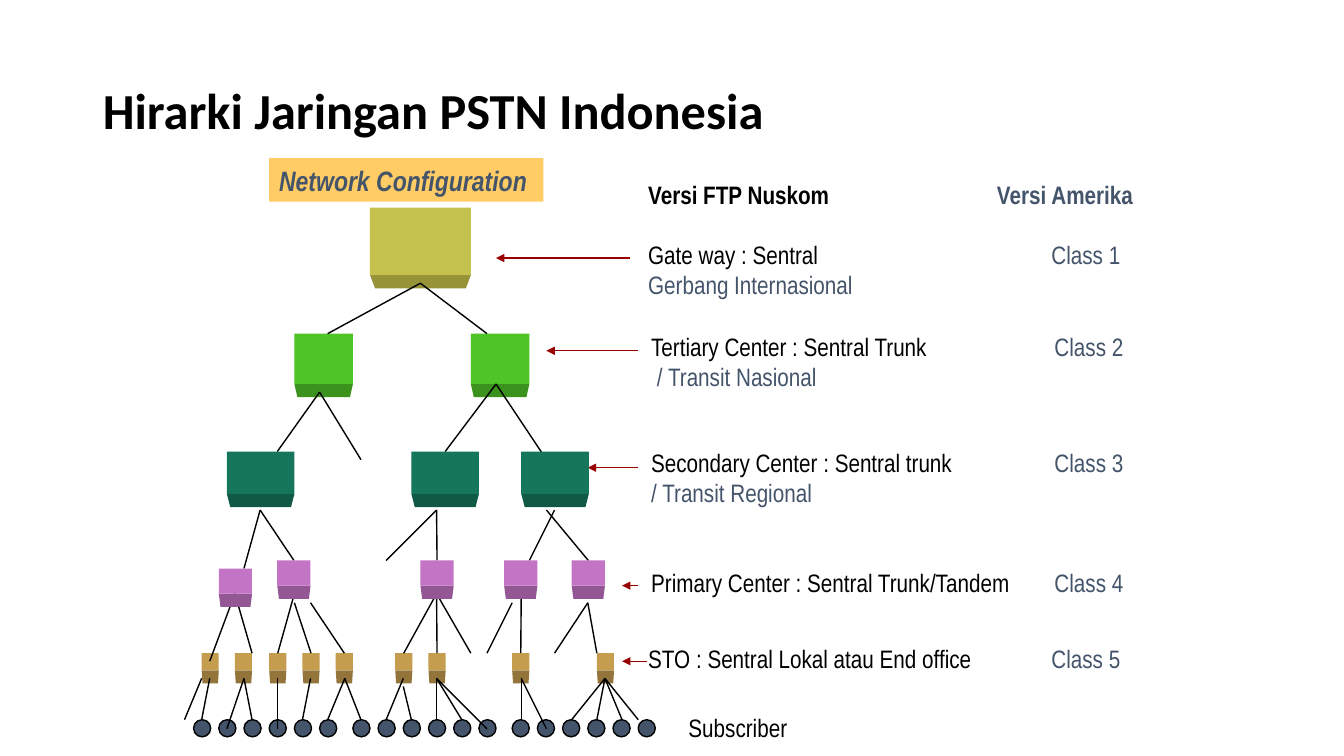
from lxml import etree
from pptx import Presentation
from pptx.dml.color import RGBColor
from pptx.enum import shapes as kinds, text as styles
from pptx.oxml import ns
from pptx.util import Inches, Pt

BLACK, SLATE, RED = "000000", "44546A", "990000"
DEPTH = 0.13  # height of the darker lower edge of a box


def paint(target, colour):
    """Give a fill, or the font of a run, one solid colour."""
    if hasattr(target, "solid"):
        target.solid()
        target.fore_color.rgb = RGBColor.from_string(colour)
    else:
        target.color.rgb = RGBColor.from_string(colour)


def add_run(paragraph, words, size, colour, bold=False, font="Arial Narrow"):
    run = paragraph.add_run()
    run.text = words
    run.font.name, run.font.size, run.font.bold = font, Pt(size), bold
    paint(run.font, colour)
    return run


presentation = Presentation()
presentation.slide_width, presentation.slide_height = Inches(13.33), Inches(7.5)
slide = presentation.slides.add_slide(presentation.slide_layouts[5])

title = slide.shapes.title
title.left, title.top, title.width, title.height = map(Inches, (0.92, 0.4, 11.5, 1.45))
title.text_frame.auto_size = styles.MSO_AUTO_SIZE.NONE
title.text_frame.vertical_anchor = styles.MSO_ANCHOR.MIDDLE
paragraph = title.text_frame.paragraphs[0]
paragraph.alignment = styles.PP_ALIGN.LEFT
paragraph.line_spacing = 0.9
add_run(paragraph, "Hirarki Jaringan PSTN Indonesia", 36, BLACK, True, "Calibri")

# Subscribers: three rows of six
for row_left in (1.92, 3.5, 5.08):
    for index in range(6):
        subscriber = slide.shapes.add_shape(
            kinds.MSO_SHAPE.OVAL, Inches(row_left + 0.25 * index), Inches(7.14),
            Inches(0.17), Inches(0.17))
        subscriber.shadow.inherit = False
        paint(subscriber.fill, SLATE)
        paint(subscriber.line.fill, BLACK)
        subscriber.line.width = Pt(1)

# Links: start point, then the end points that fan out from it
fans = [
    (4.17, 2.81, [(4.83, 3.31), (3.25, 3.31)]),
    (4.92, 3.81, [(4.42, 4.48), (5.42, 4.56)]),
    (3.17, 3.89, [(2.75, 4.48), (3.58, 4.56)]),
    (2.58, 5.06, [(2.42, 5.64), (2.92, 5.56)]),
    (4.33, 5.06, [(4.33, 5.56), (3.83, 5.56)]),
    (5.5, 5.06, [(5.25, 5.56)]),
    (5.42, 5.06, [(5.83, 5.56)]),
    (2.33, 5.89, [(2.08, 6.56), (2.5, 6.48)]),
    (2.92, 5.89, [(2.75, 6.48)]),
    (2.92, 5.98, [(3.08, 6.48)]),
    (3.08, 5.98, [(3.42, 6.48)]),
    (4.33, 5.89, [(4, 6.48), (4.33, 6.48), (4.67, 6.48)]),
    (5.17, 5.89, [(5.17, 6.48)]),
    (5.83, 5.98, [(5.92, 6.48), (5.5, 6.48)]),
    (5.08, 5.98, [(4.83, 6.48)]),
    (2, 6.73, [(1.83, 7.14)]),
    (2.08, 6.73, [(2, 7.14)]),
    (2.42, 6.73, [(2.25, 7.23), (2.5, 7.14)]),
    (2.75, 6.73, [(2.75, 7.23)]),
    (3.08, 6.73, [(3, 7.14)]),
    (3.42, 6.73, [(3.25, 7.14), (3.58, 7.14)]),
    (4, 6.73, [(3.83, 7.14)]),
    (4, 6.81, [(4.08, 7.14)]),
    (4.33, 6.73, [(4.83, 7.23), (4.33, 7.14), (4.58, 7.14)]),
    (5.17, 6.73, [(5.17, 7.14), (5.42, 7.23)]),
    (6, 6.73, [(5.67, 7.14), (5.92, 7.14), (6.17, 7.14), (6.33, 7.14)]),
]
arrows = [(6.25, 4.92, 2.56), (6.33, 5.42, 3.48), (6.33, 5.83, 4.64),
          (6.33, 6.17, 5.81), (6.42, 6.17, 6.56)]
lines = [(x, y, *end, BLACK) for x, y, ends in fans for end in ends]
lines += [(start, y, end, y, RED) for start, end, y in arrows]

# Exchange levels: face colour, edge colour, width, height, box corners
gateway = ("C4C14E", "969339", 1, 0.67, [(3.67, 2.06)])
tertiary = ("4EC427", "3B931D", 0.58, 0.5, [(2.92, 3.31), (4.67, 3.31)])
secondary = ("15765C", "105945", 0.67, 0.42, [(2.25, 4.48), (4.08, 4.48), (5.17, 4.48)])
primary = ("C474C4", "935793", 0.33, 0.25,
           [(2.17, 5.64), (2.75, 5.56), (4.17, 5.56), (5, 5.56), (5.67, 5.56)])
local = ("C49D4E", "93753B", 0.17, 0.17,
         [(x, 6.48) for x in (2, 2.33, 2.67, 3, 3.33, 3.92, 4.25, 5.08, 5.92)])

# Links lie over the first three levels and under the last two
boxes, connectors = [], []
for level in (gateway, tertiary, local, None, secondary, primary):
    if level is None:
        for x1, y1, x2, y2, colour in lines:
            connector = slide.shapes.add_connector(
                kinds.MSO_CONNECTOR.STRAIGHT, *map(Inches, (x1, y1, x2, y2)))
            paint(connector.line.fill, colour)
            connector.line.width = Pt(1)
            if colour == RED:
                etree.SubElement(connector.line._get_or_add_ln(),
                                 ns.qn("a:tailEnd"), type="triangle")
            etree.SubElement(connector._element.spPr, ns.qn("a:effectLst"))
            connectors.append(connector)
        continue
    face_colour, edge_colour, width, height, corners = level
    for left, top in corners:
        edge = slide.shapes.add_shape(
            kinds.MSO_SHAPE.TRAPEZOID, Inches(left), Inches(top + height),
            Inches(width), Inches(DEPTH))
        edge.rotation = 180
        edge.adjustments[0] = 0.05 * width / DEPTH
        face = slide.shapes.add_shape(
            kinds.MSO_SHAPE.RECTANGLE, Inches(left), Inches(top), Inches(width), Inches(height))
        for part, colour in ((edge, edge_colour), (face, face_colour)):
            part.shadow.inherit = False
            paint(part.fill, colour)
            part.line.fill.background()
        boxes.append(face)

# Join each link that ends at the middle of a box's top side
for connector in connectors:
    for box in boxes:
        across = abs(connector.end_x - box.left - box.width / 2)
        if max(across, abs(connector.end_y - box.top)) < Inches(0.02):
            connector.end_connect(box, 0)

banner = slide.shapes.add_shape(
    kinds.MSO_SHAPE.RECTANGLE, Inches(2.67), Inches(1.57), Inches(2.72), Inches(0.43))
banner.shadow.inherit = False
paint(banner.fill, "FFCC66")
banner.line.fill.background()
banner.text_frame.margin_right = 0
paragraph = banner.text_frame.paragraphs[0]
paragraph.alignment = styles.PP_ALIGN.LEFT
add_run(paragraph, "Network Configuration", 20, SLATE, True).font.italic = True

# Labels: left, top, width, height, then rows of (black text, slate text)
labels = [
    (6.33, 1.73, 5.25, 1.3, [("Versi FTP Nuskom\t", "Versi Amerika"),
                             ("Gate way : Sentral\t", "Class 1"),
                             ("", "Gerbang Internasional")]),
    (6.36, 3.24, 4.89, 0.7, [("Tertiary Center : Sentral Trunk\t", "Class 2"),
                             ("", " / Transit Nasional")]),
    (6.36, 4.39, 4.89, 0.7, [("Secondary Center : Sentral trunk\t", "Class 3"),
                             ("", "/ Transit Regional")]),
    (6.36, 5.58, 4.89, 0.4, [("Primary Center : Sentral Trunk/Tandem\t", "Class 4")]),
    (6.33, 6.33, 4.89, 0.4, [("STO : Sentral Lokal atau End office\t", "Class 5")]),
    (6.73, 7.02, 1.18, 0.4, [("Subscriber", "")]),
]
for left, top, width, height, rows in labels:
    label = slide.shapes.add_textbox(*map(Inches, (left, top, width, height)))
    frame = label.text_frame
    frame.word_wrap = True
    frame.margin_right = 0
    for index, row in enumerate(rows):
        paragraph = frame.paragraphs[0] if index == 0 else frame.add_paragraph()
        heading = row[0].startswith("Versi")
        if row[0].startswith("Gate way"):
            paragraph.space_before = Pt(21)
        for words, colour in zip(row, (BLACK, SLATE)):
            if words:
                add_run(paragraph, words, 18, colour, heading)
        if "\t" in row[0]:
            stops = etree.SubElement(paragraph._p.get_or_add_pPr(), ns.qn("a:tabLst"))
            etree.SubElement(stops, ns.qn("a:tab"),
                             pos=str(Inches(3.46 if heading else 4)), algn="l")

presentation.save("out.pptx")
